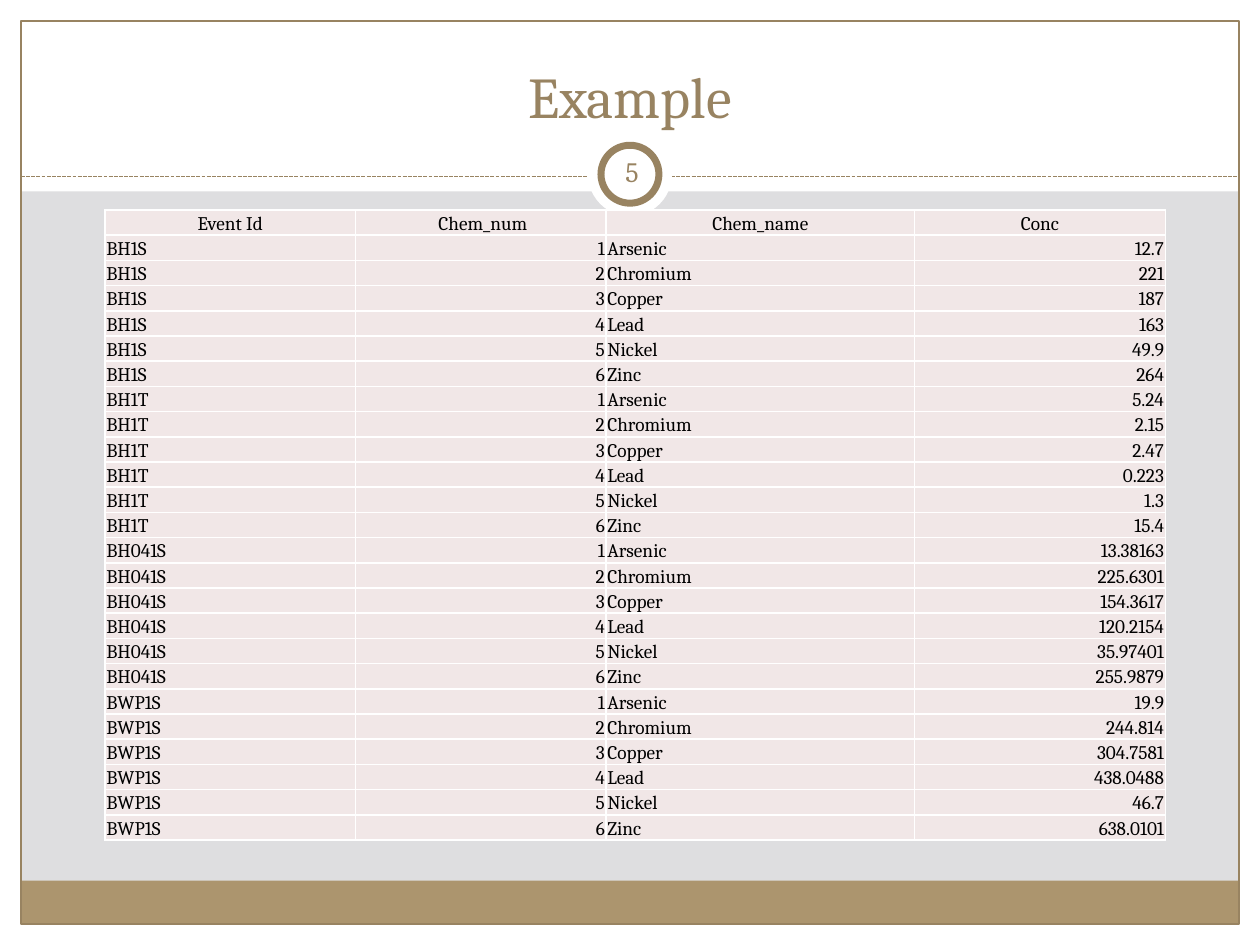
import pptx
import pptx.util
import pptx.dml.color
import pptx.enum.dml
import pptx.enum.shapes
import pptx.enum.text
import pptx.oxml.ns
from lxml import etree

# Content
TITLE = "Example"
NUMBER = "5"
HEADERS = ["Event Id", " Chem_num", "Chem_name", "Conc"]
CHEMICALS = ["Arsenic", "Chromium", "Copper", "Lead", "Nickel", "Zinc"]
EVENTS = {
    "BH1S": ["12.7", "221", "187", "163", "49.9", "264"],
    "BH1T": ["5.24", "2.15", "2.47", "0.223", "1.3", "15.4"],
    "BH041S": ["13.38163", "225.6301", "154.3617", "120.2154", "35.97401", "255.9879"],
    "BWP1S": ["19.9", "244.814", "304.7581", "438.0488", "46.7", "638.0101"],
}

THEME = {
    "font": "Cambria",
    "back": "DEDEE0", "paper": "FFFFFF", "accent": "988361", "band": "AC956E",
    "cell": "F1E7E7", "text": "000000",
    "title": 33, "number": 16, "body": 11,
    "thin": 0.75, "ring": 4, "border": 1,
}

# Grid: the slide is 60 columns by 45 rows of square units
COLS, ROWS = 60, 45
UNIT = pptx.util.Inches(10) / COLS
HEAD_H, RULE_Y = 9.12, 8.4
BADGE, RING = 4, 2.76
BADGE_Y = RULE_Y - 2.1
TABLE_X, TABLE_Y, ROW_H = 5, 10, 1.2
COL_W = [11.93, 11.93, 14.7, 11.93]

PP = pptx.enum.text.PP_ALIGN
ANCHOR = pptx.enum.text.MSO_ANCHOR
SHAPE = pptx.enum.shapes.MSO_SHAPE
COL_ALIGN = [PP.LEFT, PP.RIGHT, PP.LEFT, PP.RIGHT]


def units(*values):
    return [pptx.util.Emu(round(v * UNIT)) for v in values]


def color(name):
    return pptx.dml.color.RGBColor.from_string(THEME[name])


def set_line(line, width):
    line.color.rgb = color("accent")
    line.width = pptx.util.Pt(THEME[width])


def add_shape(slide, kind, box, fill=None, width=None):
    sp = slide.shapes.add_shape(kind, *units(*box))
    sp.shadow.inherit = False
    if fill:
        sp.fill.solid()
        sp.fill.fore_color.rgb = color(fill)
    else:
        sp.fill.background()
    if width:
        set_line(sp.line, width)
    else:
        sp.line.fill.background()


def write(tf, text, size, ink, align):
    p = tf.paragraphs[0]
    p.alignment = align
    r = p.add_run()
    r.text = text
    r.font.name = THEME["font"]
    r.font.size = pptx.util.Pt(THEME[size])
    r.font.color.rgb = color(ink)


def add_text(slide, box, text, size, anchor, inset):
    tf = slide.shapes.add_textbox(*units(*box)).text_frame
    tf.word_wrap = True
    tf.vertical_anchor = anchor
    tf.margin_left = tf.margin_right = pptx.util.Inches(inset)
    tf.margin_top = tf.margin_bottom = pptx.util.Inches(0.05)
    write(tf, text, size, "accent", PP.CENTER)


def add_borders(cell):
    tc_pr = cell._tc.get_or_add_tcPr()
    for side in ("a:lnL", "a:lnR", "a:lnT", "a:lnB"):
        ln = etree.SubElement(tc_pr, pptx.oxml.ns.qn(side),
                              w=str(pptx.util.Pt(THEME["border"])))
        fill = etree.SubElement(ln, pptx.oxml.ns.qn("a:solidFill"))
        etree.SubElement(fill, pptx.oxml.ns.qn("a:srgbClr"), val=THEME["paper"])


def add_frame(slide):
    # White margins and header, then the footer band and outline
    for box in [(0, ROWS - 1, COLS, 1), (0, 0, COLS, HEAD_H),
                (0, 0, 1, ROWS), (COLS - 1, 0, 1, ROWS)]:
        add_shape(slide, SHAPE.RECTANGLE, box, "paper")
    add_shape(slide, SHAPE.RECTANGLE, (1, ROWS - 3.06, COLS - 2, 2.06), "band")
    add_shape(slide, SHAPE.RECTANGLE, (1, 1, COLS - 2, ROWS - 2), width="thin")

    # Dashed rule under the title
    rule = slide.shapes.add_connector(pptx.enum.shapes.MSO_CONNECTOR.STRAIGHT,
                                      *units(1, RULE_Y, COLS - 1, RULE_Y))
    set_line(rule.line, "thin")
    rule.line.dash_style = pptx.enum.dml.MSO_LINE.SQUARE_DOT
    etree.SubElement(rule._element.spPr, pptx.oxml.ns.qn("a:effectLst"))

    # Number badge
    for size, width in [(BADGE, None), (RING, "ring")]:
        box = ((COLS - size) / 2, BADGE_Y + (BADGE - size) / 2, size, size)
        add_shape(slide, SHAPE.OVAL, box, "paper", width)


def add_data(slide):
    rows = [HEADERS] + [
        [event, str(i), chemical, conc]
        for event, values in EVENTS.items()
        for i, (chemical, conc) in enumerate(zip(CHEMICALS, values), 1)
    ]
    box = units(TABLE_X, TABLE_Y, sum(COL_W), ROW_H * len(rows))
    table = slide.shapes.add_table(len(rows), len(HEADERS), *box).table
    table.horz_banding = False
    for column, width in zip(table.columns, units(*COL_W)):
        column.width = width
    for i, values in enumerate(rows):
        table.rows[i].height = units(ROW_H)[0]
        for j, value in enumerate(values):
            cell = table.cell(i, j)
            cell.margin_left = cell.margin_right = cell.margin_top = pptx.util.Inches(0.01)
            cell.margin_bottom = 0
            cell.vertical_anchor = ANCHOR.BOTTOM
            add_borders(cell)
            cell.fill.solid()
            cell.fill.fore_color.rgb = color("cell")
            write(cell.text_frame, value, "body", "text",
                  COL_ALIGN[j] if i else PP.CENTER)


def main():
    prs = pptx.Presentation()
    prs.slide_width, prs.slide_height = units(COLS, ROWS)
    slide = prs.slides.add_slide(prs.slide_layouts[6])
    slide.background.fill.solid()
    slide.background.fill.fore_color.rgb = color("back")
    add_frame(slide)
    add_text(slide, (2, 1.5, COLS - 4, 5), TITLE, "title", ANCHOR.BOTTOM, 0.1)
    add_text(slide, (28.6, 6.72, 3, 2.88), NUMBER, "number", ANCHOR.MIDDLE, 0.05)
    add_data(slide)
    prs.save("out.pptx")


if __name__ == "__main__":
    main()
